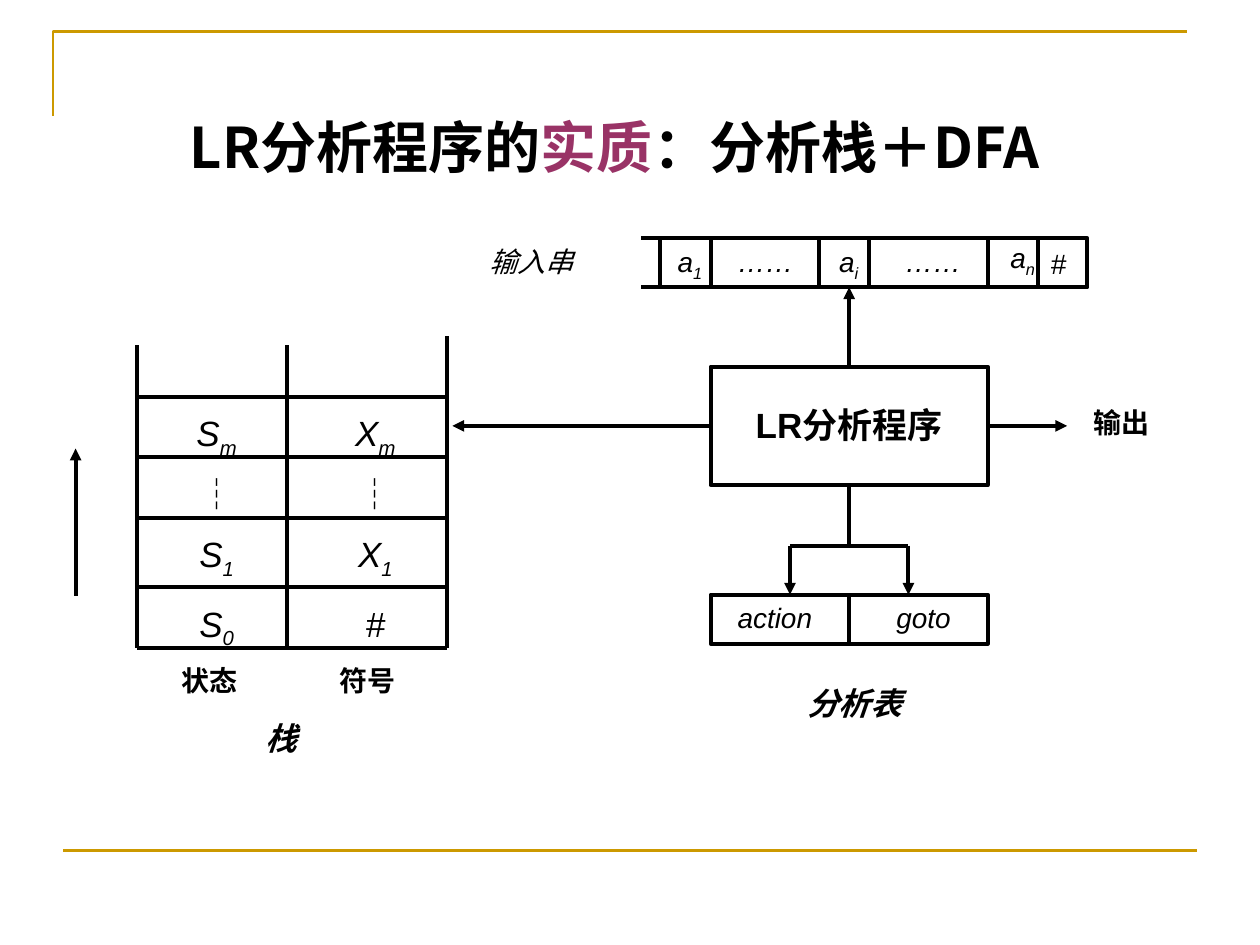
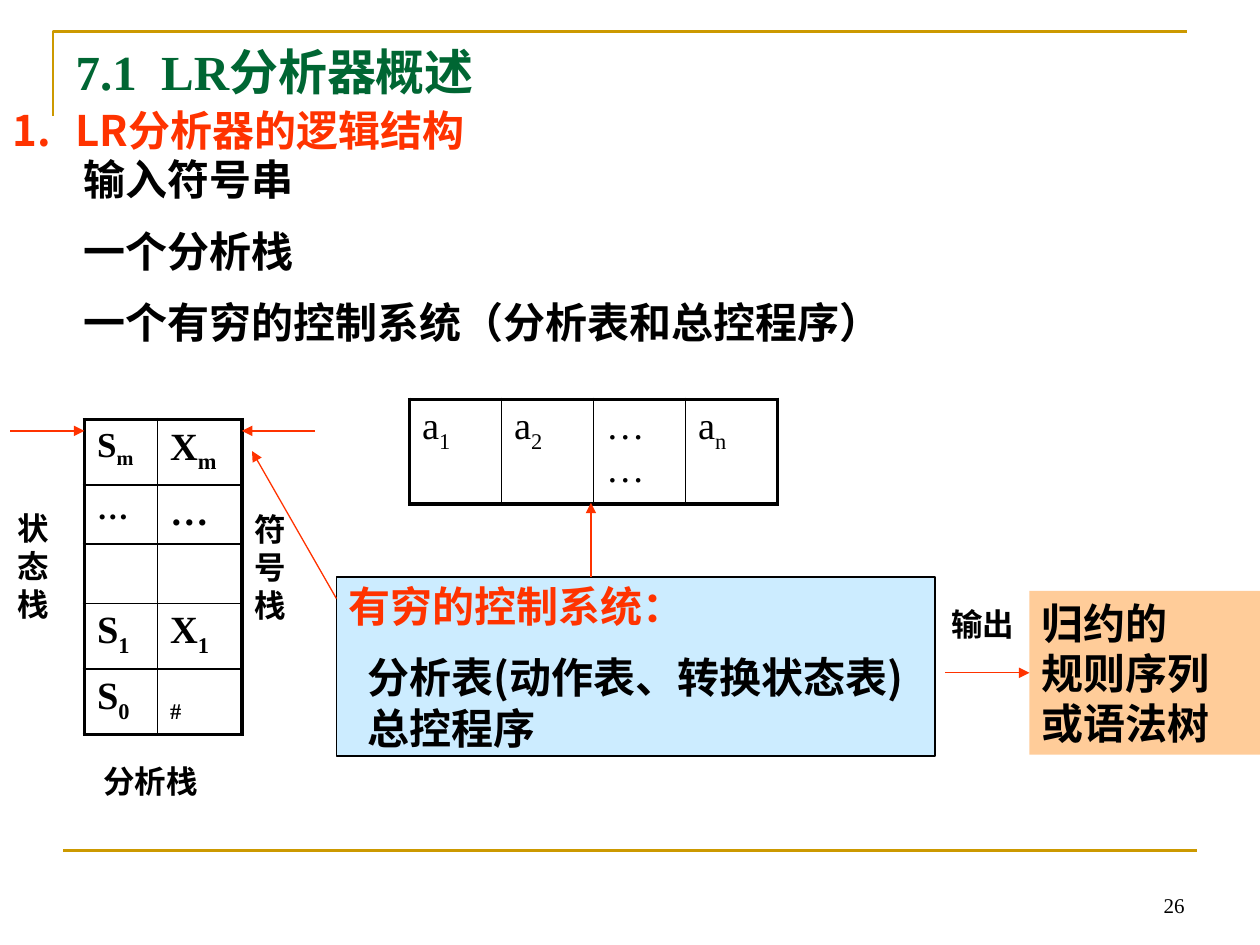
from dataclasses import dataclass, replace

from lxml import etree
from pptx import Presentation
from pptx.dml.color import RGBColor
from pptx.enum.shapes import MSO_CONNECTOR, MSO_SHAPE
from pptx.enum.text import MSO_ANCHOR, MSO_AUTO_SIZE, PP_ALIGN
from pptx.oxml.ns import qn
from pptx.util import Inches, Pt

STRAIGHT = MSO_CONNECTOR.STRAIGHT
RECTANGLE = MSO_SHAPE.RECTANGLE
LEFT, CENTER, RIGHT = PP_ALIGN.LEFT, PP_ALIGN.CENTER, PP_ALIGN.RIGHT
TOP, MIDDLE, BOTTOM = MSO_ANCHOR.TOP, MSO_ANCHOR.MIDDLE, MSO_ANCHOR.BOTTOM
SITE_TOP, SITE_LEFT, SITE_BOTTOM, SITE_RIGHT = range(4)


@dataclass(frozen=True)
class Style:
    """Describe the look of a paragraph."""
    size: float
    font: str = "Noto Sans CJK SC"
    bold: bool = False
    italic: bool = False
    color: str = "000000"


@dataclass(frozen=True)
class Theme:
    """Hold the colours, line widths and type styles of the deck."""
    black: str = "000000"
    gold: str = "CC9900"
    plum: str = "993366"
    red: str = "FF3300"
    pale_blue: str = "CCECFF"
    peach: str = "FFCC99"
    east_asian: str = "Noto Sans CJK SC"
    thin: float = 0.75
    cell: float = 1
    frame: float = 1.5
    thick: float = 2.25
    headline: Style = Style(32, bold=True)
    section: Style = Style(28, "Times New Roman", bold=True, color="006633")
    body: Style = Style(24, bold=True)
    body_red: Style = Style(24, bold=True, color="FF3300")
    caption: Style = Style(18, bold=True)
    caption_italic: Style = Style(18, bold=True, italic=True)
    symbol: Style = Style(20, "Arial", italic=True)
    dots: Style = Style(20)
    program: Style = Style(20, "Arial", bold=True)
    word: Style = Style(16, "Arial", bold=True)
    word_italic: Style = Style(16, "Arial", italic=True)
    table: Style = Style(22, "Times New Roman")
    table_bold: Style = Style(22, "Times New Roman", bold=True)
    page: Style = Style(12, "Times New Roman")


THEME = Theme()


def write(paragraph, text, style, align=LEFT, before=0):
    """Fill a paragraph; an underscore in the text starts a subscript."""
    base, _, subscript = text.partition("_")
    if base:
        paragraph.add_run().text = base
    if subscript:
        run = paragraph.add_run()
        run.text = subscript
        run.font._element.set("baseline", "-25000")
    paragraph.alignment = align
    paragraph.space_before = Pt(before)
    font = paragraph.font
    font.size, font.name = Pt(style.size), style.font
    font.bold, font.italic = style.bold, style.italic
    font.color.rgb = RGBColor.from_string(style.color)
    etree.SubElement(font._element, qn("a:ea"), typeface=THEME.east_asian)


def indent(paragraph, left, first=0, bullet="buNone", **attributes):
    """Set a paragraph's indents and bullet."""
    properties = paragraph._p.get_or_add_pPr()
    properties.set("marL", str(Inches(left)))
    properties.set("indent", str(Inches(first)))
    etree.SubElement(properties, qn(f"a:{bullet}"), **attributes)


def set_frame(shape, anchor=TOP, wrap=True):
    """Prepare a shape's text frame and return it."""
    frame = shape.text_frame
    frame.word_wrap = wrap
    frame.auto_size = MSO_AUTO_SIZE.NONE
    frame.vertical_anchor = anchor
    return frame


def place(shape, box):
    """Move a placeholder into a box given in inches."""
    shape.left, shape.top, shape.width, shape.height = map(Inches, box)


def label(slide, text, box, style, align=CENTER, anchor=TOP):
    """Add a one-paragraph text box and return its paragraph."""
    frame = set_frame(slide.shapes.add_textbox(*map(Inches, box)), anchor)
    write(frame.paragraphs[0], text, style, align)
    return frame.paragraphs[0]


def rectangle(slide, box, fill=None, width=None):
    """Add a rectangle with an optional fill and black outline."""
    shape = slide.shapes.add_shape(RECTANGLE, *map(Inches, box))
    shape.shadow.inherit = False
    if fill:
        shape.fill.solid()
        shape.fill.fore_color.rgb = RGBColor.from_string(fill)
    else:
        shape.fill.background()
    if width:
        shape.line.color.rgb = RGBColor.from_string(THEME.black)
        shape.line.width = Pt(width)
    else:
        shape.line.fill.background()
    return shape


def line(slide, start, end, color=THEME.black, width=THEME.thick,
         arrow=False, begin_at=None, end_at=None):
    """Draw a straight line, with an arrowhead and joins when asked."""
    connector = slide.shapes.add_connector(
        STRAIGHT, *map(Inches, start), *map(Inches, end))
    if begin_at:
        connector.begin_connect(*begin_at)
    if end_at:
        connector.end_connect(*end_at)
    connector.line.color.rgb = RGBColor.from_string(color)
    connector.line.width = Pt(width)
    properties = connector.element.spPr
    if arrow:
        etree.SubElement(properties.find(qn("a:ln")), qn("a:tailEnd"), type="triangle")
    etree.SubElement(properties, qn("a:effectLst"))


def red_arrow(slide, start, end, **joins):
    """Draw a thin red arrow."""
    line(slide, start, end, THEME.red, THEME.thin, arrow=True, **joins)


def decorate(slide):
    """Draw the gold corner and the gold bottom rule."""
    builder = slide.shapes.build_freeform(Inches(0.42), Inches(0.92))
    builder.add_line_segments(
        [(Inches(0.42), Inches(0.25)), (Inches(9.42), Inches(0.25))], close=False)
    corner = builder.convert_to_shape()
    corner.shadow.inherit = False
    corner.fill.background()
    corner.line.color.rgb = RGBColor.from_string(THEME.gold)
    corner.line.width = Pt(THEME.frame)
    line(slide, (0.5, 6.75), (9.5, 6.75), THEME.gold, THEME.frame)


def set_title(slide, parts, box, style, align):
    """Fill the title placeholder; parts are pairs of text and colour."""
    place(slide.shapes.title, box)
    paragraph = set_frame(slide.shapes.title, MIDDLE).paragraphs[0]
    write(paragraph, "", style, align)
    for text, color in parts:
        run = paragraph.add_run()
        run.text = text
        run.font.color.rgb = RGBColor.from_string(color)


def draw_stack(slide, left, top):
    """Draw the open stack of states and symbols with its captions."""
    right, middle, bottom = left + 2.46, left + 1.19, top + 2.47
    for x, start in ((left, top + 0.07), (middle, top + 0.07), (right, top)):
        line(slide, (x, start), (x, bottom))
    rows = [top + offset for offset in (0.48, 0.96, 1.44, 1.99)]
    for y in rows + [bottom]:
        line(slide, (left, y), (right, y))
    columns = (("状态", ("S_m", "┆", "S_1", "S_0")),
               ("符号", ("X_m", "┆", "X_1", "#")))
    for index, (name, symbols) in enumerate(columns):
        x = left + 0.35 + 1.26 * index
        for y, symbol in zip(rows, symbols):
            style = THEME.dots if symbol == "┆" else THEME.symbol
            label(slide, symbol, (x, y + 0.07, 0.56, 0.43), style)
        label(slide, name, (x - 0.13, bottom + 0.08, 0.7, 0.37), THEME.word)
    label(slide, "栈", (left + 0.91, bottom + 0.52, 0.47, 0.4), THEME.caption_italic)
    line(slide, (left - 0.49, top + 2.06), (left - 0.49, top + 0.89), arrow=True)


def draw_input(slide, left, top):
    """Draw the input string as a strip of cells."""
    height = 0.39
    rectangle(slide, (left, top, 3.39, height), width=THEME.thick)
    for y in (top, top + height):
        line(slide, (left - 0.15, y), (left + 0.16, y))
    for offset in (0.4, 1.26, 1.66, 2.6, 3):
        line(slide, (left + offset, top), (left + offset, top + height))
    cells = (("a_1", 0, 0, 0.47), ("……", 0.48, 0, 0.71), ("a_i", 1.26, 0, 0.47),
             ("……", 1.81, 0, 0.71), ("a_n", 2.6, -0.03, 0.55), ("#", 3, 0.02, 0.31),
             ("输入串", -1.49, 0, 0.94))
    for text, x, y, width in cells:
        label(slide, text, (left + x, top + y, width, 0.37), THEME.word_italic)


def draw_program(slide, left, top):
    """Draw the analyser with its arrows, output and parsing table."""
    width, height = 2.2, 0.94
    center, right, bottom = left + width / 2, left + width, top + height
    program = rectangle(slide, (left, top, width, height), width=THEME.thick)
    frame = set_frame(program)
    frame.margin_left = frame.margin_right = Inches(0.33)
    frame.margin_top = Inches(0.29)
    write(frame.paragraphs[0], "LR分析程序", THEME.program, CENTER)

    middle = top + height / 2
    line(slide, (center, top), (center, top - 0.63), arrow=True,
         begin_at=(program, SITE_TOP))
    line(slide, (right, middle), (right + 0.63, middle), arrow=True,
         begin_at=(program, SITE_RIGHT))
    line(slide, (left, middle), (left - 2.05, middle), arrow=True,
         begin_at=(program, SITE_LEFT))
    label(slide, "输出", (right + 0.71, top + 0.26, 0.7, 0.37), THEME.word)

    fork, table_top = bottom + 0.48, bottom + 0.87
    line(slide, (center, bottom), (center, fork), begin_at=(program, SITE_BOTTOM))
    line(slide, (center - 0.47, fork), (center + 0.47, fork))
    for x in (center - 0.47, center + 0.47):
        line(slide, (x, fork), (x, table_top), arrow=True)
    rectangle(slide, (left, table_top, width, 0.39), width=THEME.thick)
    line(slide, (center, table_top), (center, table_top + 0.39))
    for text, x, label_width in (("action", 0.08, 0.86), ("goto", 1.34, 0.7)):
        label(slide, text, (left + x, table_top, label_width, 0.37), THEME.word_italic)
    label(slide, "分析表", (left + 0.63, table_top + 0.66, 1.02, 0.4), THEME.caption_italic)


def draw_table(slide, left, top, widths, heights, rows):
    """Add a table with a thick frame; cells are pairs of text and style."""
    table = slide.shapes.add_table(
        len(heights), len(widths), Inches(left), Inches(top),
        Inches(sum(widths)), Inches(sum(heights))).table
    table.first_row = table.horz_banding = False
    for column, width in zip(table.columns, widths):
        column.width = Inches(width)
    for y, (row, height) in enumerate(zip(rows, heights)):
        table.rows[y].height = Inches(height)
        for x, (text, style) in enumerate(row):
            cell = table.cell(y, x)
            cell.fill.background()
            write(cell.text_frame.paragraphs[0], text, style)
            outer = {"lnL": x == 0, "lnR": x == len(widths) - 1,
                     "lnT": y == 0, "lnB": y == len(heights) - 1}
            for position, (side, is_outer) in enumerate(outer.items()):
                width = THEME.thick if is_outer else THEME.cell
                border = etree.Element(qn(f"a:{side}"), w=str(Pt(width)))
                fill = etree.SubElement(border, qn("a:solidFill"))
                etree.SubElement(fill, qn("a:srgbClr"), val=THEME.black)
                cell._tc.get_or_add_tcPr().insert(position, border)


def draw_stack_table(slide, left, top):
    """Draw the analysis stack table with its pointers and captions."""
    bold = THEME.table_bold
    rows = ((("S_m", replace(bold, size=20)), ("X_m", bold)),
            (("…", replace(bold, size=18)), ("…", bold)),
            (("", bold), ("", bold)),
            (("S_1", bold), ("X_1", bold)),
            (("S_0", bold), ("_#", bold)))
    draw_table(slide, left, top, (0.58, 0.67), (0.52, 0.47, 0.47, 0.52, 0.52), rows)
    right, pointer = left + 1.25, top + 0.09
    red_arrow(slide, (left - 0.59, pointer), (left, pointer))
    red_arrow(slide, (right + 0.58, pointer), (right, pointer))
    label(slide, "状态栈", (left - 0.63, top + 0.66, 0.58, 1.01), THEME.caption, LEFT)
    label(slide, "符号栈", (right, top + 0.67, 0.5, 1.01), THEME.caption, LEFT)
    label(slide, "分析栈", (left + 0.05, top + 2.67, 1.03, 0.4), THEME.caption, LEFT)


def draw_control(slide, left, top):
    """Draw the control system, its arrows and its result."""
    control = rectangle(slide, (left, top, 4.75, 1.42), THEME.pale_blue, THEME.thin)
    frame = set_frame(control, MIDDLE, wrap=False)
    write(frame.paragraphs[0], "有穷的控制系统：", THEME.body_red)
    for text, before in (("分析表(动作表、转换状态表)", 12), ("总控程序", 0)):
        paragraph = frame.add_paragraph()
        indent(paragraph, 0.15)
        write(paragraph, text, THEME.body, before=before)
    red_arrow(slide, (left + 2.02, top), (left + 2.02, top - 0.59))
    red_arrow(slide, (left, top + 0.17), (left - 0.67, top - 1))

    result = rectangle(slide, (left + 5.5, top + 0.11, 1.83, 1.3), THEME.peach)
    frame = set_frame(result)
    write(frame.paragraphs[0], "归约的", THEME.body)
    write(frame.add_paragraph(), "规则序列或语法树", THEME.body)
    red_arrow(slide, (left + 4.83, top + 0.76), (left + 5.5, top + 0.76),
              end_at=(result, SITE_LEFT))
    label(slide, "输出", (left + 4.78, top + 0.17, 0.92, 0.4), THEME.caption, LEFT)


def fill_outline(slide):
    """Write the numbered heading and the list below it."""
    box = slide.shapes.add_textbox(*map(Inches, (0, 0.58, 9.33, 0.7)))
    heading = set_frame(box, BOTTOM).paragraphs[0]
    indent(heading, 0.5, -0.5, "buAutoNum", type="arabicPeriod")
    write(heading, "LR分析器的逻辑结构", THEME.body_red)
    body = slide.placeholders[1]
    place(body, (0.33, 1.17, 7.07, 1.7))
    frame = set_frame(body)
    items = ("输入符号串", "一个分析栈", "一个有穷的控制系统（分析表和总控程序）")
    for index, item in enumerate(items):
        paragraph = frame.add_paragraph() if index else frame.paragraphs[0]
        indent(paragraph, 0.23)
        write(paragraph, item, THEME.body, before=12 if index else 0)


def build_essence_slide(presentation):
    """Build the slide on the stack plus the automaton."""
    slide = presentation.slides.add_slide(presentation.slide_layouts[5])
    decorate(slide)
    parts = (("LR分析程序的", THEME.black), ("实质", THEME.plum),
             ("：分析栈＋DFA", THEME.black))
    set_title(slide, parts, (0.59, 0.84, 8.58, 0.64), THEME.headline, CENTER)
    draw_stack(slide, 1.09, 2.67)
    draw_input(slide, 5.24, 1.89)
    draw_program(slide, 5.64, 2.91)


def build_overview_slide(presentation):
    """Build the slide on the logical structure of the analyser."""
    slide = presentation.slides.add_slide(presentation.slide_layouts[1])
    decorate(slide)
    set_title(slide, (("7.1  LR分析器概述", THEME.section.color),),
              (0.5, 0.3, 8.99, 0.53), THEME.section, LEFT)
    fill_outline(slide)
    cells = [(text, THEME.table) for text in ("a_1", "a_2", "……", "a_n")]
    draw_table(slide, 3.25, 3.17, [0.73] * 4, [0.83], [cells])
    draw_control(slide, 2.67, 4.58)
    draw_stack_table(slide, 0.67, 3.33)
    label(slide, "26", (7.17, 6.83, 2.33, 0.5), THEME.page, RIGHT, BOTTOM)


def main():
    """Build and save the presentation."""
    presentation = Presentation()
    presentation.slide_width, presentation.slide_height = Inches(10), Inches(7.5)
    build_essence_slide(presentation)
    build_overview_slide(presentation)
    presentation.save("out.pptx")


if __name__ == "__main__":
    main()
